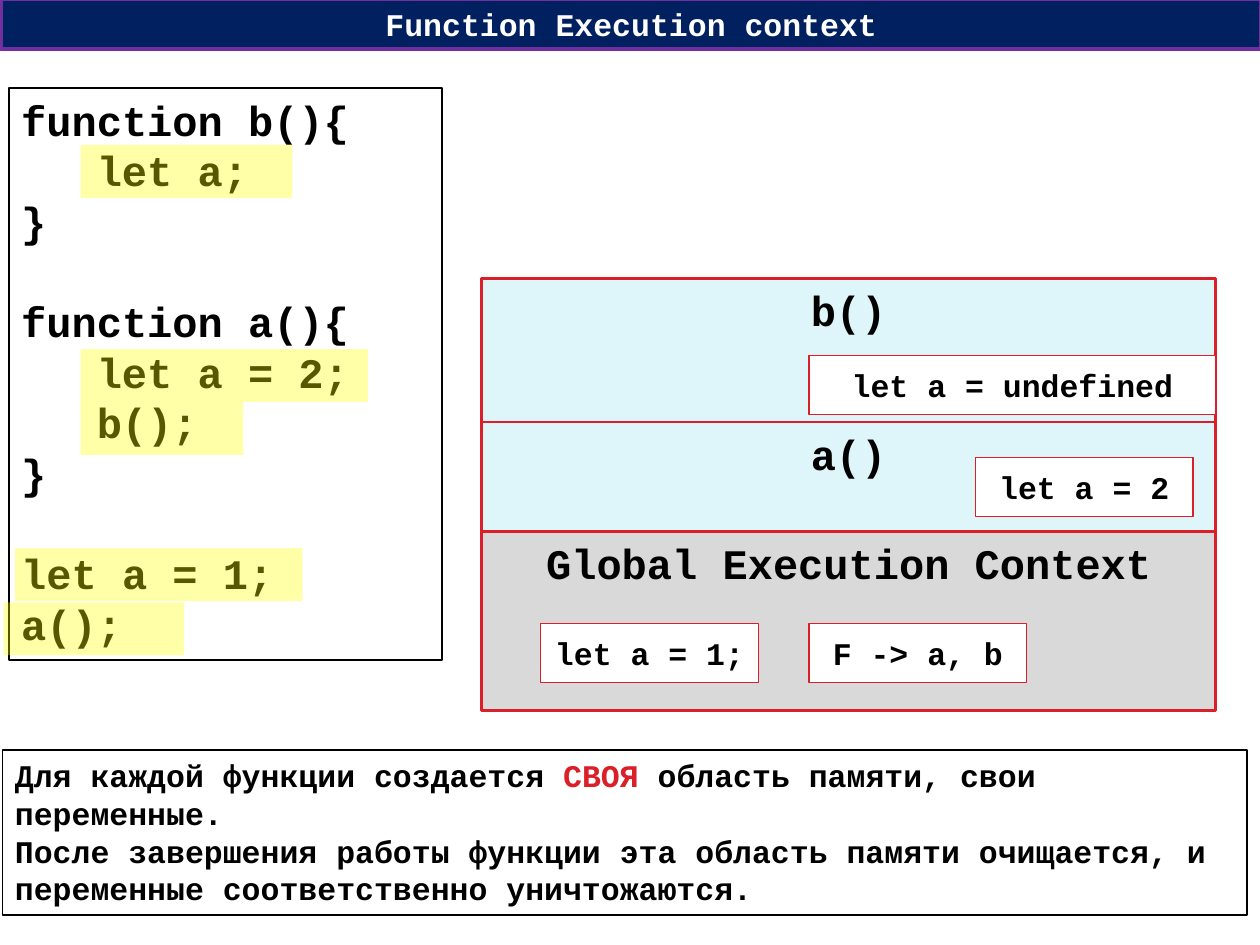
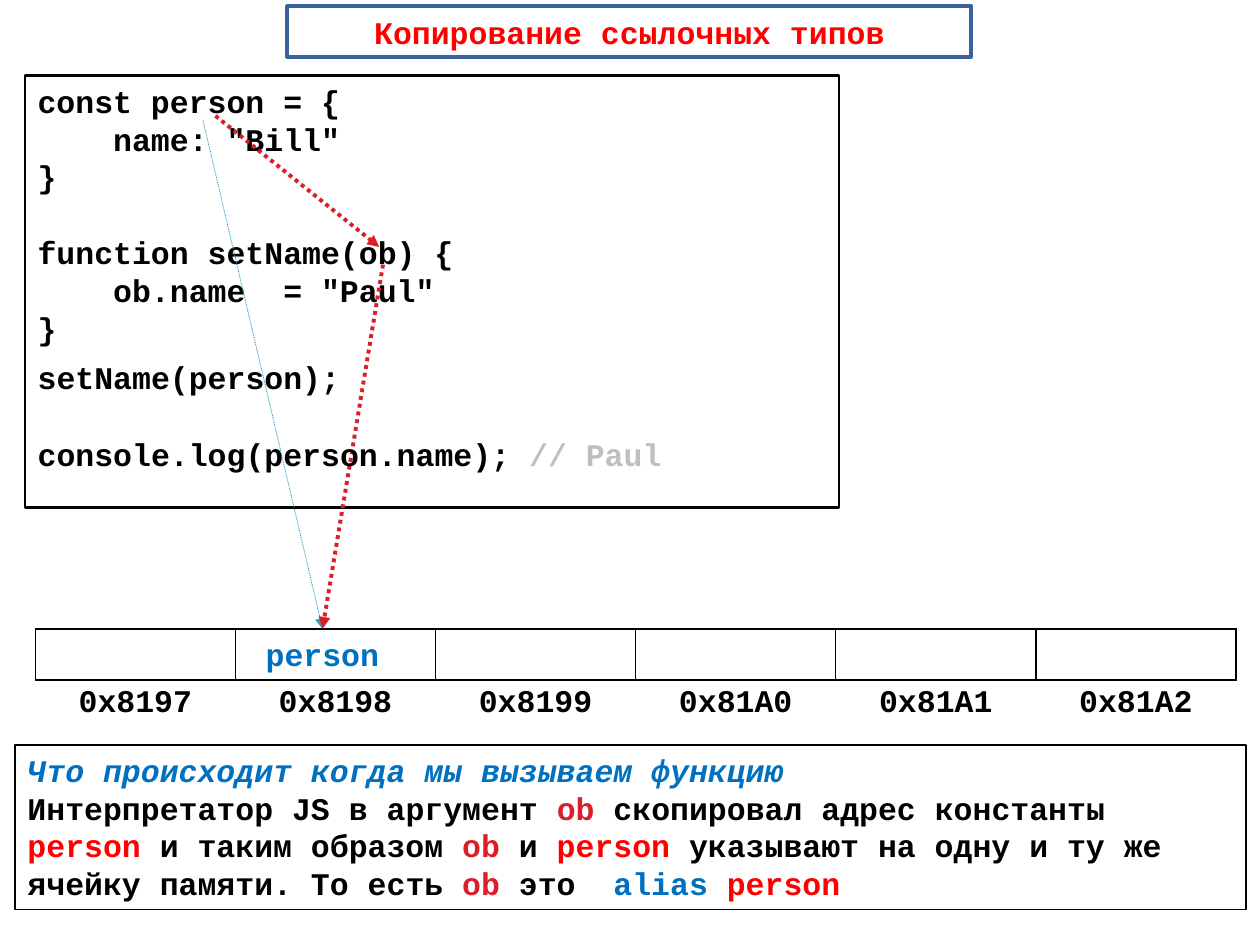
import lxml.etree
import pptx
import pptx.dml.color
import pptx.enum.dml
import pptx.enum.shapes
import pptx.enum.text
import pptx.oxml.ns
import pptx.util

Inches = pptx.util.Inches
Pt = pptx.util.Pt
qn = pptx.oxml.ns.qn
ALIGN = pptx.enum.text.PP_ALIGN
ANCHOR = pptx.enum.text.MSO_ANCHOR

COLORS = {
    "black": "000000", "white": "FFFFFF", "navy": "002060", "purple": "7030A0",
    "title blue": "39639D", "red": "FF0000", "crimson": "DA1F28",
    "blue": "0070C0", "teal": "2DA2BF", "pale blue": "DEF5FA",
    "gray": "D9D9D9", "comment": "BFBFBF", "yellow": "FFFF00",
}


class Deck:
    """Holds the shared style and the slide being built."""

    font = "Courier New"
    line_height = 1.2
    character_width = 0.6

    def __init__(self):
        self.presentation = pptx.Presentation()
        self.presentation.slide_width = Inches(10)
        self.presentation.slide_height = Inches(7.5)
        self.slide = None

    def new_slide(self):
        self.slide = self.presentation.slides.add_slide(self.presentation.slide_layouts[6])

    def color(self, name):
        return pptx.dml.color.RGBColor.from_string(COLORS[name])

    def add_run(self, paragraph, text, color="black", size=18, italic=False):
        run = paragraph.add_run()
        run.text = text
        run.font.name = self.font
        run.font.size = Pt(size)
        run.font.bold = True
        run.font.italic = italic
        run.font.color.rgb = self.color(color)

    def add_lines(self, frame, lines, size=18, align=ALIGN.LEFT):
        """Each line is a list of (text, color) runs; an empty line becomes spacing."""
        gap = 0
        paragraph = None
        for line in lines:
            if not line:
                gap += size * self.line_height
                continue
            paragraph = frame.paragraphs[0] if paragraph is None else frame.add_paragraph()
            paragraph.alignment = align
            if gap:
                paragraph.space_before = Pt(gap)
                gap = 0
            first = line[0][0]
            indent = len(first) - len(first.lstrip()) if len(line) == 1 else 0
            if indent:
                margin = Pt(indent * size * self.character_width)
                paragraph._p.get_or_add_pPr().set("marL", str(margin))
                line = [(first.lstrip(), *line[0][1:])]
            for text, color, *italic in line:
                self.add_run(paragraph, text, color, size, bool(italic))

    def box(self, left, top, width, height, lines=(), fill=None, opacity=None,
            line=None, weight=1, size=18, align=ALIGN.LEFT, anchor=ANCHOR.TOP):
        shape = self.slide.shapes.add_shape(
            pptx.enum.shapes.MSO_SHAPE.RECTANGLE,
            Inches(left), Inches(top), Inches(width), Inches(height))
        shape.shadow.inherit = False
        if fill:
            shape.fill.solid()
            shape.fill.fore_color.rgb = self.color(fill)
            if opacity:
                value = shape._element.spPr.find(qn("a:solidFill")).find(qn("a:srgbClr"))
                lxml.etree.SubElement(value, qn("a:alpha")).set("val", str(opacity * 1000))
        else:
            shape.fill.background()
        if line:
            shape.line.color.rgb = self.color(line)
            shape.line.width = Pt(weight)
        else:
            shape.line.fill.background()
        shape.text_frame.word_wrap = True
        shape.text_frame.vertical_anchor = anchor
        self.add_lines(shape.text_frame, lines, size, align)

    def title(self, text, left, top, width, fill, line, color):
        self.box(left, top, width, 0.4, [[(text, color)]], fill=fill, line=line,
                 weight=2.25, align=ALIGN.CENTER, anchor=ANCHOR.MIDDLE)

    def context(self, name, top, height, fill):
        self.box(3.82, top, 5.83, height, [[(name, "black")]], fill=fill,
                 line="crimson", weight=1.5, size=24, align=ALIGN.CENTER)

    def variable(self, text, left, top, width=1.73):
        self.box(left, top, width, 0.47, [[(text, "black")]], fill="white", line="crimson",
                 weight=0.75, align=ALIGN.CENTER, anchor=ANCHOR.MIDDLE)

    def highlight(self, left, top, width):
        self.box(left, top, width, 0.42, fill="yellow", opacity=34)

    def label(self, left, top, width, runs):
        text_box = self.slide.shapes.add_textbox(
            Inches(left), Inches(top), Inches(width), Inches(0.4))
        text_box.text_frame.word_wrap = False
        self.add_lines(text_box.text_frame, [runs])

    def arrow(self, start, end, color, weight):
        connector = self.slide.shapes.add_connector(
            pptx.enum.shapes.MSO_CONNECTOR.STRAIGHT,
            *[Inches(value) for value in (*start, *end)])
        connector.line.color.rgb = self.color(color)
        connector.line.width = Pt(weight)
        connector.line.dash_style = pptx.enum.dml.MSO_LINE.ROUND_DOT
        properties = connector._element.spPr
        outline = properties.find(qn("a:ln"))
        lxml.etree.SubElement(outline, qn("a:tailEnd")).set("type", "triangle")
        lxml.etree.SubElement(properties, qn("a:effectLst"))

    def border(self, cell, sides):
        """Draw the given sides in black and hide the others."""
        properties = cell._tc.get_or_add_tcPr()
        for position, side in enumerate("LRTB"):
            edge = lxml.etree.Element(qn("a:ln" + side), w=str(Pt(1)))
            if side in sides:
                fill = lxml.etree.SubElement(edge, qn("a:solidFill"))
                lxml.etree.SubElement(fill, qn("a:srgbClr")).set("val", COLORS["black"])
            else:
                lxml.etree.SubElement(edge, qn("a:noFill"))
            properties.insert(position, edge)

    def memory(self, left, top, width, height, addresses):
        """A row of memory cells with their addresses below."""
        table = self.slide.shapes.add_table(
            2, len(addresses), Inches(left), Inches(top), Inches(width), Inches(height)).table
        table.first_row = False
        table.horz_banding = False
        for column, address in enumerate(addresses):
            for row, sides in enumerate(("LRTB", "T")):
                cell = table.cell(row, column)
                cell.fill.background()
                self.border(cell, sides)
            self.add_lines(table.cell(1, column).text_frame, [[(address, "black")]],
                           align=ALIGN.CENTER)


def code(text):
    return [[(line, "black")] if line else [] for line in text.split("\n")]


deck = Deck()

# Slide 1: execution contexts
deck.new_slide()
deck.title("Function Execution context", 0.01, -0.01, 10, "navy", "purple", "white")

# Code listing
deck.box(0.07, 0.7, 3.44, 4.54, code("""function b(){
   let a;
}

function a(){
   let a = 2;
   b();
}

let a = 1;
a();"""), fill="white", opacity=7, line="black", size=24)

# Call stack, from the bottom up
deck.context("Global Execution Context", 4.22, 1.42, "gray")
deck.variable("F -> a, b", 6.42, 4.95)
deck.variable("let a = 1;", 4.29, 4.95)
deck.context("a()", 3.35, 0.87, "pale blue")
deck.variable("let a = 2", 7.74, 3.63)
deck.context("b()", 2.21, 1.14, "pale blue")
deck.variable("let a = undefined", 6.42, 2.82, 3.23)

# Executed lines
for left, top, width in ((0.12, 4.35, 2.28), (0.64, 1.15, 1.68), (0.03, 4.78, 1.43),
                         (0.64, 2.77, 2.28), (0.64, 3.19, 1.29)):
    deck.highlight(left, top, width)

# Explanation
deck.box(0.02, 5.95, 9.88, 1.31, [
    [("Для каждой функции создается ", "black"), ("СВОЯ", "crimson"),
     (" область памяти, свои переменные.", "black")],
    [("После завершения работы функции эта область памяти очищается, "
      "и переменные соответственно уничтожаются.", "black")],
], fill="white", opacity=7, line="black")

# Slide 2: copying reference types
deck.new_slide()
deck.title("Копирование ссылочных типов", 2.28, 0.05, 5.43, "white", "title blue", "red")

# Memory cells
deck.memory(0.28, 4.99, 9.53, 0.81,
            ["0x8197", "0x8198", "0x8199", "0x81A0", "0x81A1", "0x81A2"])

# Code listing
deck.box(0.2, 0.6, 6.46, 3.43, code("""const person = {
    name: "Bill"
}

function setName(ob) {
    ob.name  = "Paul"
}"""), line="black", weight=1.5)

# References to the memory cell and the labels they cross
person_cell = (2.56, 4.99)
deck.arrow((1.61, 0.95), person_cell, "teal", 0.5)
deck.arrow((1.71, 0.92), (3.01, 1.96), "crimson", 2.25)
deck.label(2.01, 4.99, 1.11, [("person", "blue")])
deck.label(0.2, 2.79, 2.61, [("setName(person);", "black")])
deck.arrow((3.04, 2.1), person_cell, "crimson", 2.25)
deck.label(0.2, 3.4, 5.15, [("console.log(person.name); ", "black"), ("// Paul", "comment")])

# Explanation
deck.box(0.12, 5.91, 9.77, 1.31, [
    [("Что происходит когда мы вызываем функцию", "blue", "italic")],
    [("Интерпретатор JS в аргумент ", "black"), ("ob", "crimson"),
     (" скопировал адрес константы ", "black"), ("person", "red"),
     (" и таким образом ", "black"), ("ob ", "crimson"), ("и ", "black"), ("person", "red"),
     (" указывают на одну и ту же ячейку памяти. То есть ", "black"), ("ob ", "crimson"),
     ("это  ", "black"), ("alias ", "blue"), ("person", "red")],
], line="black")

deck.presentation.save("out.pptx")
